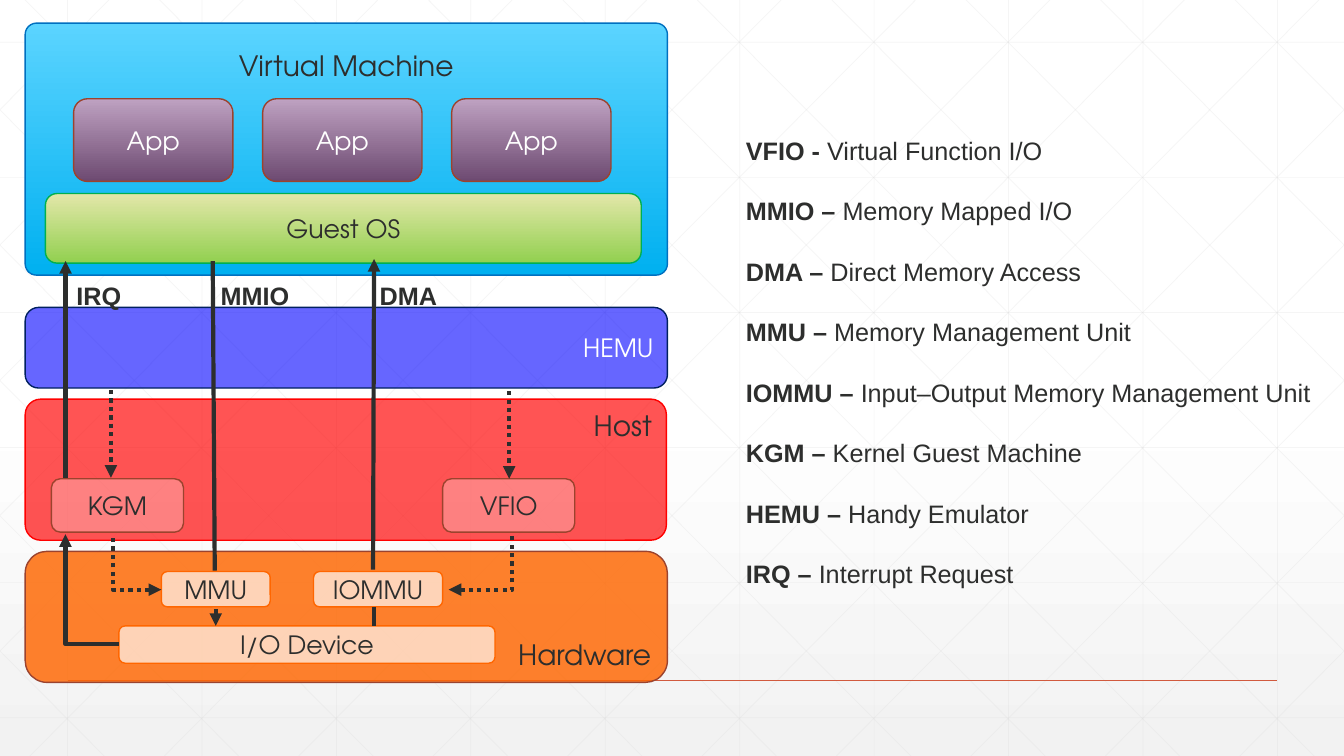
from copy import deepcopy

from lxml import etree
from pptx import Presentation
from pptx.dml.color import RGBColor
from pptx.enum.dml import MSO_LINE
from pptx.enum.shapes import MSO_CONNECTOR, MSO_SHAPE
from pptx.enum.text import MSO_ANCHOR, PP_ALIGN
from pptx.oxml.ns import qn
from pptx.util import Inches, Pt

STRAIGHT, ELBOW = MSO_CONNECTOR.STRAIGHT, MSO_CONNECTOR.ELBOW
TOP, MIDDLE, BOTTOM = MSO_ANCHOR.TOP, MSO_ANCHOR.MIDDLE, MSO_ANCHOR.BOTTOM
CENTER, RIGHT = PP_ALIGN.CENTER, PP_ALIGN.RIGHT
DOTTED = MSO_LINE.ROUND_DOT
WIDTH, HEIGHT = 13.33, 7.5
HEADING, BODY = "TeX Gyre Adventor", "Arial"
COLORS = {name: RGBColor.from_string(value) for name, value in {
    "white": "FFFFFF", "fog": "F2F2F2", "lattice": "D9D9D9", "rule": "D15A3E",
    "ink": "2D2E2D", "sky": "5BD4FF", "azure": "00B0F0", "blue": "0070C0",
    "lilac": "BEA1C1", "plum": "6D4A71", "rust": "9B432E",
    "lime": "E3E7A9", "grass": "92D050", "green": "00B050",
    "indigo": "0000FF", "navy": "002060", "red": "FF0000", "orange": "FF6600",
}.items()}

prs = Presentation()
prs.slide_width, prs.slide_height = Inches(WIDTH), Inches(HEIGHT)
slide = prs.slides.add_slide(prs.slide_layouts[6])


def set_alpha(parent, percent):
    """Set the opacity of the solid fill held by a shape or line element."""
    color = parent.find(qn("a:solidFill"))[0]
    etree.SubElement(color, qn("a:alpha"), val=str(percent * 1000))


def add_line(x1, y1, x2, y2, color="ink", width=3, arrow=None, dash=None, kind=STRAIGHT):
    """Draw a connector; arrow is "headEnd" (at the start) or "tailEnd"."""
    line = slide.shapes.add_connector(kind, Inches(x1), Inches(y1), Inches(x2), Inches(y2))
    line.line.color.rgb = COLORS[color]
    line.line.width = Pt(width)
    if dash:
        line.line.dash_style = dash
    sp_pr = line._element.spPr
    if arrow:
        etree.SubElement(sp_pr.find(qn("a:ln")), qn(f"a:{arrow}"), type="triangle")
    if kind == ELBOW:  # one bend: across first, then up
        sp_pr.find(qn("a:prstGeom")).set("prst", "bentConnector2")
    etree.SubElement(sp_pr, qn("a:effectLst"))
    return line


# Background: white fading to light grey, under a faint lattice
bg = slide.background.fill
bg.gradient()
bg.gradient_angle = 270
bg.gradient_stops[0].color.rgb = COLORS["white"]
bg.gradient_stops[1].color.rgb = COLORS["fog"]
first_stop = next(slide.element.iter(qn("a:gs")))
middle_stop = deepcopy(first_stop)
middle_stop.set("pos", "53000")
first_stop.addnext(middle_stop)

lattice = [(x, 0, x, HEIGHT) for x in (0.67 + 4 / 3 * i for i in range(10))]
lattice += [(0, y, WIDTH, y) for y in (0.42 + 1.34 * i for i in range(6))]
RUN = 7.45  # horizontal distance a diagonal covers from top to bottom
for i in range(-5, 10):
    x = 0.25 + 4 / 3 * i
    x1, x2 = max(x, 0), min(x + RUN, WIDTH)
    y1, y2 = ((end - x) * HEIGHT / RUN for end in (x1, x2))
    lattice += [(x1, y1, x2, y2), (WIDTH - x1, y1, WIDTH - x2, y2)]
for ends in lattice:
    line = add_line(*ends, color="lattice", width=0.5)
    set_alpha(line._element.spPr.find(qn("a:ln")), 25)
add_line(0.67, 6.75, 12.67, 6.75, color="rule", width=1)

# Layers and components: text, box, fill (two colours or colour and opacity),
# outline, corner, text colour, alignment, anchor
apps = [("App", (0.73 + 1.875 * i, 0.98, 1.58, 0.82), ("lilac", "plum"), "rust",
         0.167, "white", CENTER, MIDDLE) for i in range(3)]
boxes = [
    ("Virtual Machine", (0.25, 0.23, 6.37, 2.5), ("sky", "azure"), "blue",
     0.045, "ink", CENTER, TOP),
    *apps,
    ("Guest OS", (0.45, 1.92, 5.91, 0.69), ("lime", "grass"), "green",
     0.167, "ink", CENTER, MIDDLE),
    ("HEMU", (0.25, 3.05, 6.37, 0.8), ("indigo", 60), "navy", 0.167, "white", RIGHT, MIDDLE),
    ("Host", (0.25, 3.96, 6.36, 1.4), ("red", 67), "red", 0.11, "ink", RIGHT, TOP),
    ("Hardware", (0.25, 5.47, 6.37, 1.3), ("orange", 82), "rust", 0.167, "ink", RIGHT, BOTTOM),
]
for text, box, opacity, outline in [
    ("KGM", (0.51, 4.75, 1.31, 0.53), 27, "rust"),
    ("VFIO", (4.39, 4.75, 1.31, 0.53), 27, "rust"),
    ("I/O Device", (1.18, 6.21, 3.73, 0.37), 66, "orange"),
    ("IOMMU", (3.11, 5.67, 1.28, 0.35), 66, "orange"),
    ("MMU", (1.6, 5.67, 1.08, 0.35), 66, "orange"),
]:
    boxes.append((text, box, ("white", opacity), outline, 0.167, "ink", CENTER, MIDDLE))

for text, box, (color, second), outline, corner, text_color, align, anchor in boxes:
    sp = slide.shapes.add_shape(MSO_SHAPE.ROUNDED_RECTANGLE, *map(Inches, box))
    sp.shadow.inherit = False
    sp.adjustments[0] = corner
    if second in COLORS:
        sp.fill.gradient()
        sp.fill.gradient_angle = 270
        for stop, name in zip(sp.fill.gradient_stops, (color, second)):
            stop.color.rgb = COLORS[name]
    else:
        sp.fill.solid()
        sp.fill.fore_color.rgb = COLORS[color]
        set_alpha(sp._element.spPr, second)
    sp.line.color.rgb = COLORS[outline]
    sp.line.width = Pt(1)
    tf = sp.text_frame
    tf.text = text
    tf.vertical_anchor = anchor
    p = tf.paragraphs[0]
    p.alignment = align
    if text == "Virtual Machine":
        p.line_spacing = 1.5
    font = p.runs[0].font
    font.name = HEADING
    font.size = Pt(18 if anchor == MIDDLE else 20)
    font.color.rgb = COLORS[text_color]

# Path labels
for text, x in [("IRQ", 0.53), ("MMIO", 2.08), ("DMA", 3.6)]:
    tf = slide.shapes.add_textbox(Inches(x), Inches(2.73), Inches(0.9), Inches(0.4)).text_frame
    tf.word_wrap = True
    tf.margin_left = tf.margin_right = 0
    tf.text = text
    p = tf.paragraphs[0]
    p.alignment = CENTER
    font = p.runs[0].font
    font.name, font.size, font.bold = BODY, Pt(18), True
    font.color.rgb = COLORS["ink"]

# Interrupt, MMIO and DMA paths
add_line(1.18, 6.39, 0.65, 5.3, arrow="tailEnd", kind=ELBOW)
add_line(0.65, 4.74, 0.65, 2.59, arrow="tailEnd")
add_line(2.14, 6.04, 2.14, 6.21, arrow="tailEnd")
add_line(2.13, 5.66, 2.11, 2.59)
add_line(3.7, 5.65, 3.71, 2.57, arrow="tailEnd")
add_line(3.71, 6.02, 3.71, 6.21)

# Control paths
add_line(1.1, 3.87, 1.1, 4.74, arrow="tailEnd", dash=DOTTED)
add_line(5.05, 3.88, 5.05, 4.75, arrow="tailEnd", dash=DOTTED)
add_line(1.6, 5.85, 1.12, 5.3, arrow="headEnd", dash=DOTTED, kind=ELBOW)
add_line(4.45, 5.85, 5.08, 5.3, arrow="headEnd", dash=DOTTED, kind=ELBOW)

# Glossary
glossary = [
    ("VFIO - ", "Virtual Function I/O"),
    ("MMIO – ", "Memory Mapped I/O"),
    ("DMA – ", "Direct Memory Access"),
    ("MMU – ", "Memory Management Unit"),
    ("IOMMU – ", "Input–Output Memory Management Unit"),
    ("KGM – ", "Kernel Guest Machine"),
    ("HEMU – ", "Handy Emulator"),
    ("IRQ – ", "Interrupt Request"),
]
tf = slide.shapes.add_textbox(Inches(7.3), Inches(0.99), Inches(5.87), Inches(4.95)).text_frame
tf.word_wrap = True
for i, entry in enumerate(glossary):
    p = tf.add_paragraph() if i else tf.paragraphs[0]
    p.line_spacing = 2.0
    for text, bold in zip(entry, (True, False)):
        r = p.add_run()
        r.text = text
        r.font.name, r.font.size, r.font.bold = BODY, Pt(18), bold
        r.font.color.rgb = COLORS["ink"]

prs.save("out.pptx")
